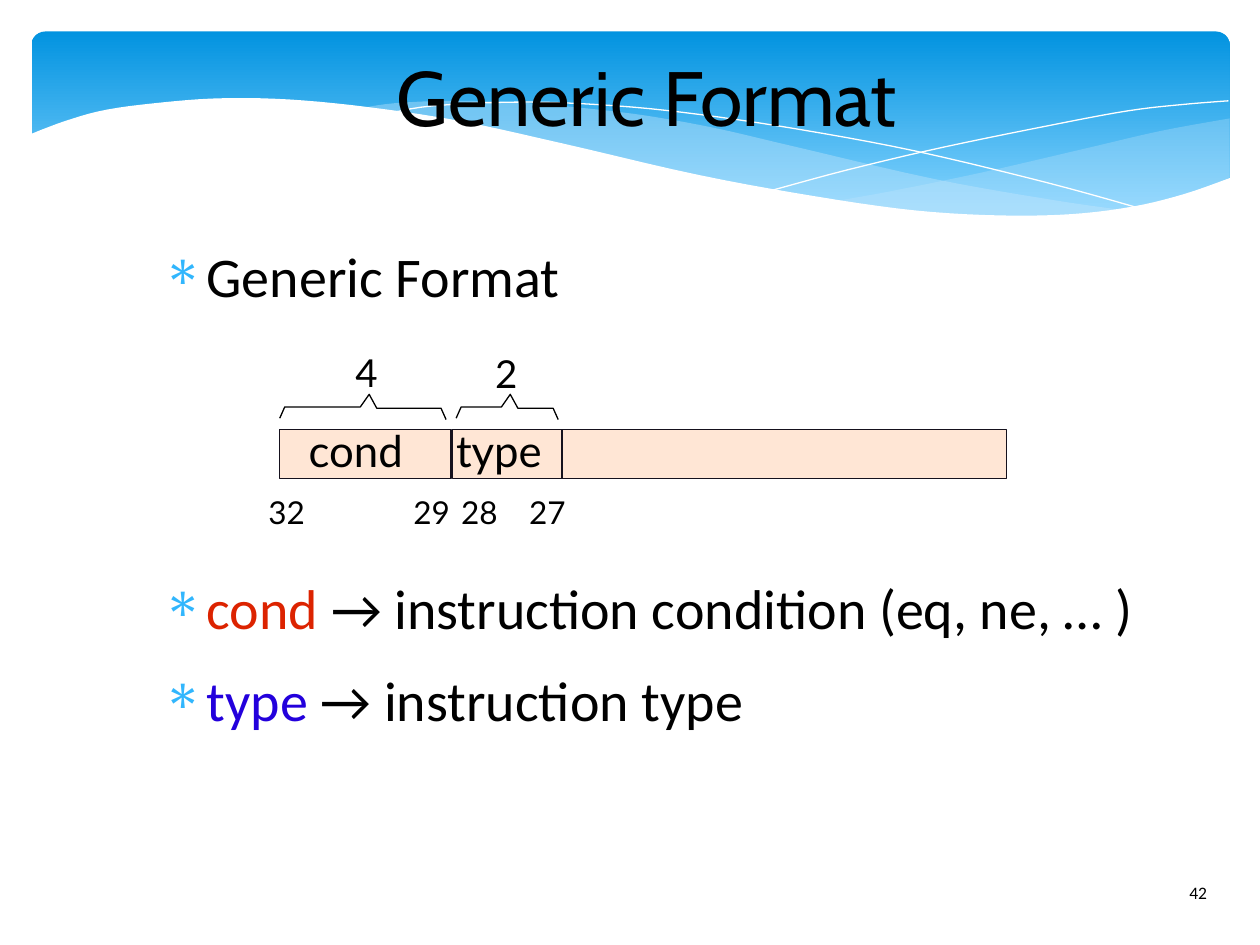
from lxml.etree import SubElement
from pptx import Presentation
from pptx.dml.color import RGBColor
from pptx.enum.shapes import MSO_SHAPE
from pptx.enum.text import MSO_ANCHOR, MSO_AUTO_SIZE, PP_ALIGN
from pptx.oxml.ns import qn
from pptx.util import Inches, Pt

COLORS = {
    "black": "000000", "white": "FFFFFF", "band_top": "0293E0", "band_bottom": "83D3FE",
    "wave": "C6E7FC", "bullet": "31B6FD", "cond": "DC2300", "type": "2300DC",
    "field": "FFE6D5", "field_edge": "15111D",
}
RIGHT_WAVE_TOP = [(9.76, 0.94), (9.21, 1.04), (8.61, 1.18), (7.79, 1.37), (7.06, 1.52), (6.61, 1.6)]
RIGHT_WAVE_BOTTOM = [(6.61, 1.6), (7.19, 1.67), (7.69, 1.71), (8.14, 1.72), (8.63, 1.7),
                     (9.05, 1.63), (9.42, 1.54), (9.76, 1.41)]
LONG_WAVE_TOP = [(8.93, 1.67), (8.37, 1.59), (7.41, 1.42), (6.29, 1.16), (5.69, 1.02), (5.14, 0.92),
                 (4.65, 0.86), (4.2, 0.82), (3.61, 0.8), (3.13, 0.82), (2.86, 0.86)]
LONG_WAVE_BOTTOM = [(2.86, 0.86), (3.42, 0.94), (4.04, 1.06), (4.91, 1.26), (5.66, 1.43), (6.34, 1.56),
                    (6.95, 1.65), (7.48, 1.7), (8.07, 1.73), (8.57, 1.71), (8.93, 1.67)]
FALLING_LINE = [(3.09, 0.9), (3.44, 0.84), (4.16, 0.81), (4.89, 0.84), (5.56, 0.91), (6.36, 1.03),
                (7.27, 1.2), (8.31, 1.45), (9.07, 1.66)]
RISING_LINE = [(6.13, 1.51), (6.72, 1.35), (7.48, 1.17), (8.36, 0.99), (8.95, 0.88), (9.38, 0.83), (9.75, 0.8)]
COVER_EDGE = [(9.77, 1.41), (9.4, 1.54), (8.99, 1.64), (8.5, 1.7), (7.93, 1.71), (7.26, 1.67), (6.48, 1.56),
              (5.55, 1.39), (4.47, 1.14), (3.65, 0.96), (2.92, 0.85), (2.3, 0.79), (1.77, 0.78),
              (1.32, 0.81), (0.85, 0.87), (0.52, 0.96), (0.23, 1.07)]


def color(name):
    """Return the palette colour called name."""
    return RGBColor.from_string(COLORS[name])


def smooth(knots, steps=5):
    """Return points of a Catmull-Rom curve through the knots."""
    padded = [knots[0], *knots, knots[-1]]
    points = [knots[0]]
    for a, b, c, d in zip(padded, padded[1:], padded[2:], padded[3:]):
        for step in range(1, steps + 1):
            t = step / steps
            points.append(tuple(
                q + t / 2 * (r - p + t * (2 * p - 5 * q + 4 * r - s + t * (3 * q - p - 3 * r + s)))
                for p, q, r, s in zip(a, b, c, d)))
    return points


def add_outline(page, box, points, fill=None, line=None, opacity=None):
    """Draw a freeform from points in inches, closed when it has a fill."""
    left, top = box[:2]
    corners = [(Inches(left + x), Inches(top + y)) for x, y in points]
    builder = page.shapes.build_freeform(*corners[0])
    builder.add_line_segments(corners[1:], close=fill is not None)
    paint(builder.convert_to_shape(), fill, line, opacity)


def paint(shape, fill=None, line=None, opacity=None):
    """Set the fill and hairline of a shape without shadow."""
    shape.shadow.inherit = False
    if fill:
        shape.fill.solid()
        shape.fill.fore_color.rgb = color(fill)
    else:
        shape.fill.background()
    if opacity:
        fill_color = shape.fill._xPr.find(qn("a:solidFill"))[0]
        SubElement(fill_color, qn("a:alpha"), val=str(opacity * 1000))
    if line:
        shape.line.color.rgb = color(line)
        shape.line.width = Pt(0)
    else:
        shape.line.fill.background()


def add_text(page, box, text="", size=32, font="Calibri", wrap=True, margin=0):
    """Add a text box and return its frame."""
    frame = page.shapes.add_textbox(*map(Inches, box)).text_frame
    frame.word_wrap = wrap
    frame.auto_size = MSO_AUTO_SIZE.NONE if wrap else MSO_AUTO_SIZE.SHAPE_TO_FIT_TEXT
    frame.margin_left = frame.margin_right = Inches(margin)
    frame.margin_top = frame.margin_bottom = Inches(margin / 2)
    frame.text = text
    for span in frame.paragraphs[0].runs:
        style(span, size, font)
    return frame


def style(span, size, font, name="black"):
    """Set the size, font and colour of a run."""
    span.font.size = Pt(size)
    span.font.name = font
    span.font.color.rgb = color(name)


def add_header(page, box):
    """Draw the gradient band with its waves."""
    left, top, width, _ = box
    band = page.shapes.add_shape(MSO_SHAPE.ROUNDED_RECTANGLE, Inches(left + 0.25), Inches(top + 0.25),
                                 Inches(width - 0.49), Inches(1.56))
    band.adjustments[0] = 0.07
    paint(band)
    band.fill.gradient()
    band.fill.gradient_angle = 270
    stops = zip(band.fill.gradient_stops, ("band_top", "band_bottom"), (0, 0.9))
    for stop, name, position in stops:
        stop.color.rgb = color(name)
        stop.position = position
    add_outline(page, box, smooth(RIGHT_WAVE_TOP) + smooth(RIGHT_WAVE_BOTTOM), "wave", opacity=29)
    add_outline(page, box, smooth(LONG_WAVE_TOP) + smooth(LONG_WAVE_BOTTOM), "wave", opacity=40)
    for knots in (FALLING_LINE, RISING_LINE):
        add_outline(page, box, smooth(knots), line="white")
    add_outline(page, box, smooth(COVER_EDGE) + [(0.23, 2.24), (9.77, 2.24)], "white")


def add_title(page, box, text):
    """Place the centred slide title."""
    frame = add_text(page, box, text, 44, "Cabin")
    frame.vertical_anchor = MSO_ANCHOR.MIDDLE
    frame.paragraphs[0].alignment = PP_ALIGN.CENTER


def add_bullets(page, box, items):
    """Place bulleted lines, each a list of text and colour pairs."""
    frame = add_text(page, box)
    for index, item in enumerate(items):
        para = frame.add_paragraph() if index else frame.paragraphs[0]
        para.space_after = Pt(14.1)
        properties = para._p.get_or_add_pPr()
        properties.set("marL", str(Inches(0.47)))
        properties.set("indent", str(Inches(-0.35)))
        bullet_color = SubElement(properties, qn("a:buClr"))
        SubElement(bullet_color, qn("a:srgbClr"), val=COLORS["bullet"])
        SubElement(properties, qn("a:buChar"), char="∗")
        for text, name in item:
            span = para.add_run()
            span.text = text
            style(span, 32, "Calibri", name)


def add_brace(page, box, start, peak, end):
    """Draw a brace over a bit field."""
    points = [(start, 0.55), (start + 0.04, 0.46), (peak - 0.07, 0.46), (peak, 0.36),
              (peak + 0.06, 0.47), (end - 0.04, 0.47), (end, 0.56)]
    add_outline(page, box, points, line="black")


def add_format_diagram(page, box):
    """Draw the instruction word with its fields, bit numbers and braces."""
    left, top = box[:2]
    for offset, width in ((0, 1.36), (1.37, 0.88), (2.24, 3.53)):
        field = page.shapes.add_shape(MSO_SHAPE.RECTANGLE, Inches(left + offset), Inches(top + 0.64),
                                      Inches(width), Inches(0.39))
        paint(field, "field", "field_edge")
    labels = [
        ("cond", 0.23, 0.59, 0.93, 0.48, 25), ("type", 1.4, 0.59, 0.83, 0.48, 25),
        ("4", 0.6, 0, 0.3, 0.4, 22), ("2", 1.71, 0.01, 0.3, 0.4, 22),
    ]
    bits = (("32", -0.09), ("29", 1.06), ("28", 1.44), ("27", 1.98))
    labels += [(bit, offset, 1.14, 0.38, 0.34, 18) for bit, offset in bits]
    for text, x, y, width, height, size in labels:
        add_text(page, (left + x, top + y, width, height), text, size, "Lato", wrap=False)
    add_brace(page, box, 0, 0.71, 1.32)
    add_brace(page, box, 1.4, 1.83, 2.21)


def main():
    """Build and save the slide."""
    deck = Presentation()
    deck.slide_width, deck.slide_height = Inches(10), Inches(7.5)
    page = deck.slides.add_slide(deck.slide_layouts[6])
    add_header(page, (0, 0, 10, 2.24))
    add_text(page, (9.34, 6.95, 0.61, 0.4), "42", 10, margin=0.1)
    add_title(page, (1.08, 0.25, 8.11, 1.02), "Generic Format")
    add_bullets(page, (1.17, 1.92, 8.11, 0.69), [[("Generic Format", "black")]])
    add_bullets(page, (1.17, 4.55, 8.11, 1.28), [
        [("cond", "cond"), (" → instruction condition (eq, ne, … )", "black")],
        [("type", "type"), (" → instruction type", "black")],
    ])
    add_format_diagram(page, (2.22, 2.77, 5.77, 1.48))
    deck.save("out.pptx")


if __name__ == "__main__":
    main()
